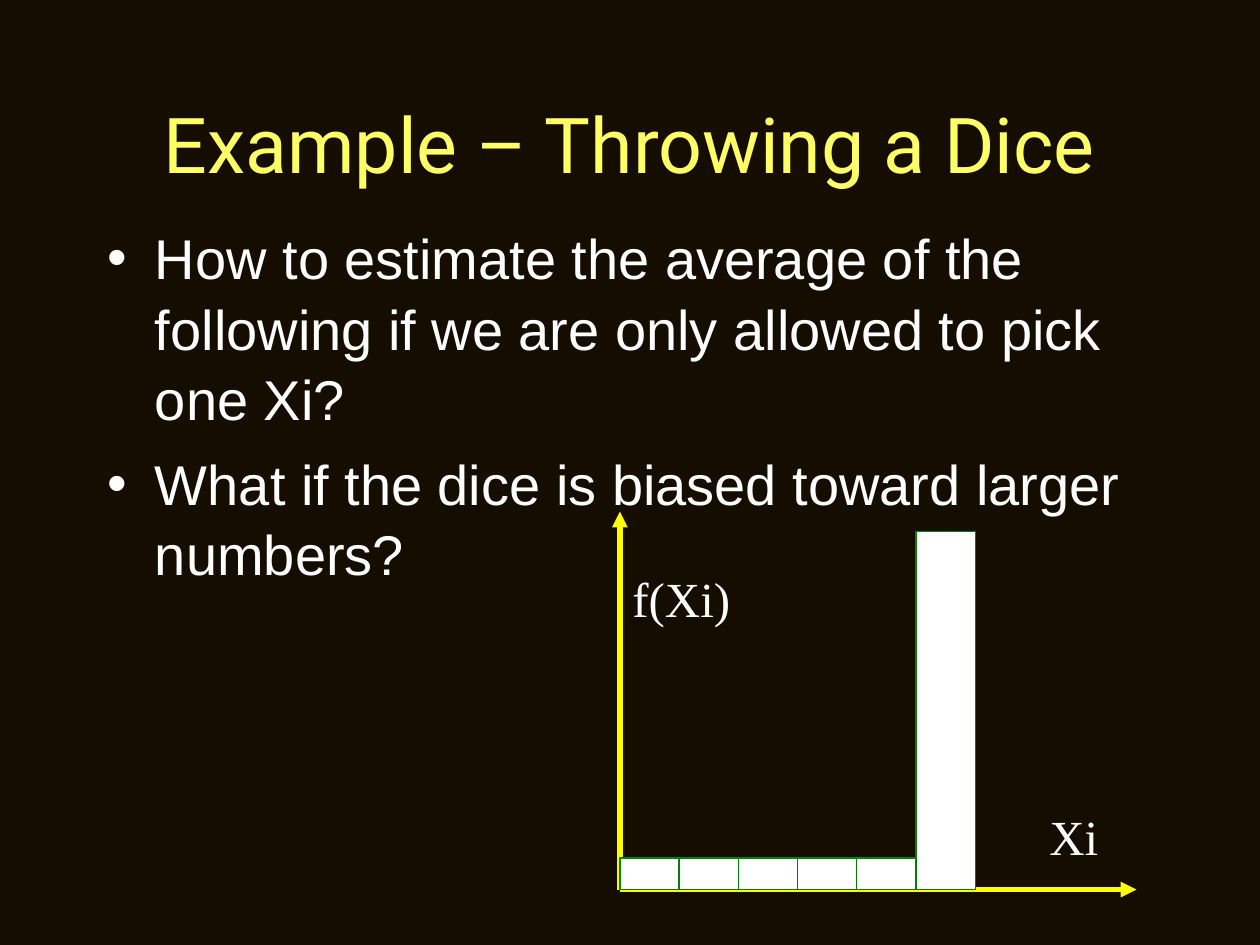
from pptx import Presentation
from pptx.dml.color import RGBColor
from pptx.enum.shapes import MSO_CONNECTOR, MSO_SHAPE
from pptx.enum.text import MSO_ANCHOR, MSO_AUTO_SIZE, PP_ALIGN
from pptx.oxml.ns import qn
from pptx.util import Inches, Pt
from lxml.etree import SubElement

# Content
TITLE = "Example – Throwing a Dice"
BULLETS = [
    "How to estimate the average of the following if we are only allowed to pick one Xi?",
    "What if the dice is biased toward larger numbers?",
]
BAR_HEIGHTS = [0.25] * 5 + [2.84]
AXIS_LABELS = [("f(Xi)", 4.92, 4.46), ("Xi", 8.23, 6.35)]

# Theme
THEME = {
    "background": RGBColor(0x14, 0x0D, 0x00),
    "axis": RGBColor(0xFF, 0xFF, 0x00),
    "bar": RGBColor(0xFF, 0xFF, 0xFF),
    "bar_edge": RGBColor(0x00, 0x80, 0x00),
    "title": {"name": "Roboto", "size": Pt(44), "color": RGBColor(0xFF, 0xFF, 0x66)},
    "body": {"name": "Arial", "size": Pt(32), "color": RGBColor(0xFF, 0xFF, 0xFF)},
    "label": {"name": "Times New Roman", "size": Pt(28), "color": RGBColor(0xFF, 0xFF, 0xFF)},
}

# Layout in inches
WIDTH, HEIGHT = 10, 7.5
MARGIN = 0.075 * WIDTH
ORIGIN_X, ORIGIN_Y = 4.92, 7.06
AXIS_ENDS = [(9.02, ORIGIN_Y), (ORIGIN_X, 4.06)]
BAR_WIDTH = 0.47


def place(shape, left, top, width, height):
    values = {"left": left, "top": top, "width": width, "height": height}
    for name, value in values.items():
        setattr(shape, name, Inches(value))


def format_font(paragraph, style):
    for name, value in style.items():
        if name == "color":
            paragraph.font.color.rgb = value
        else:
            setattr(paragraph.font, name, value)


def add_bullet(paragraph):
    properties = paragraph._p.get_or_add_pPr()
    properties.set("marL", str(Inches(0.38)))
    properties.set("indent", str(-Inches(0.38)))
    SubElement(properties, qn("a:buFont"), typeface="Arial")
    SubElement(properties, qn("a:buChar"), char="•")


def add_axis(slide, end):
    points = [Inches(value) for value in (ORIGIN_X, ORIGIN_Y, *end)]
    axis = slide.shapes.add_connector(MSO_CONNECTOR.STRAIGHT, *points)
    axis.line.color.rgb = THEME["axis"]
    axis.line.width = Pt(3)
    SubElement(axis.line._get_or_add_ln(), qn("a:tailEnd"), type="triangle")
    SubElement(axis._element.spPr, qn("a:effectLst"))


def add_bar(slide, column, height):
    box = (ORIGIN_X + column * BAR_WIDTH, ORIGIN_Y - height, BAR_WIDTH, height)
    bar = slide.shapes.add_shape(MSO_SHAPE.RECTANGLE, *map(Inches, box))
    bar.shadow.inherit = False
    bar.fill.solid()
    bar.fill.fore_color.rgb = THEME["bar"]
    bar.line.color.rgb = THEME["bar_edge"]
    bar.line.width = Pt(0.75)


def add_label(slide, text, left, top):
    label = slide.shapes.add_textbox(*map(Inches, (left, top, 1.02, 0.57)))
    label.text_frame.word_wrap = True
    label.text_frame.text = text
    format_font(label.text_frame.paragraphs[0], THEME["label"])


def main():
    presentation = Presentation()
    presentation.slide_width, presentation.slide_height = Inches(WIDTH), Inches(HEIGHT)
    slide = presentation.slides.add_slide(presentation.slide_layouts[1])
    slide.background.fill.solid()
    slide.background.fill.fore_color.rgb = THEME["background"]

    # Title and bullets
    title, body = slide.placeholders
    place(title, MARGIN, 0.67, WIDTH - 2 * MARGIN, 0.92)
    place(body, MARGIN, 1.7, WIDTH - 2 * MARGIN, 4.96)
    for shape, anchor in ((title, MSO_ANCHOR.MIDDLE), (body, MSO_ANCHOR.TOP)):
        shape.text_frame.auto_size = MSO_AUTO_SIZE.NONE
        shape.text_frame.vertical_anchor = anchor
    title.text_frame.text = TITLE
    title.text_frame.paragraphs[0].alignment = PP_ALIGN.CENTER
    format_font(title.text_frame.paragraphs[0], THEME["title"])
    body.text_frame.text = "\n".join(BULLETS)
    for number, paragraph in enumerate(body.text_frame.paragraphs):
        add_bullet(paragraph)
        paragraph.line_spacing = 1.05
        paragraph.space_before = Pt(8 if number else 0)
        format_font(paragraph, THEME["body"])

    # Distribution sketch
    for end in AXIS_ENDS:
        add_axis(slide, end)
    for column, height in enumerate(BAR_HEIGHTS):
        add_bar(slide, column, height)
    for text, left, top in AXIS_LABELS:
        add_label(slide, text, left, top)

    presentation.save("out.pptx")


if __name__ == "__main__":
    main()
